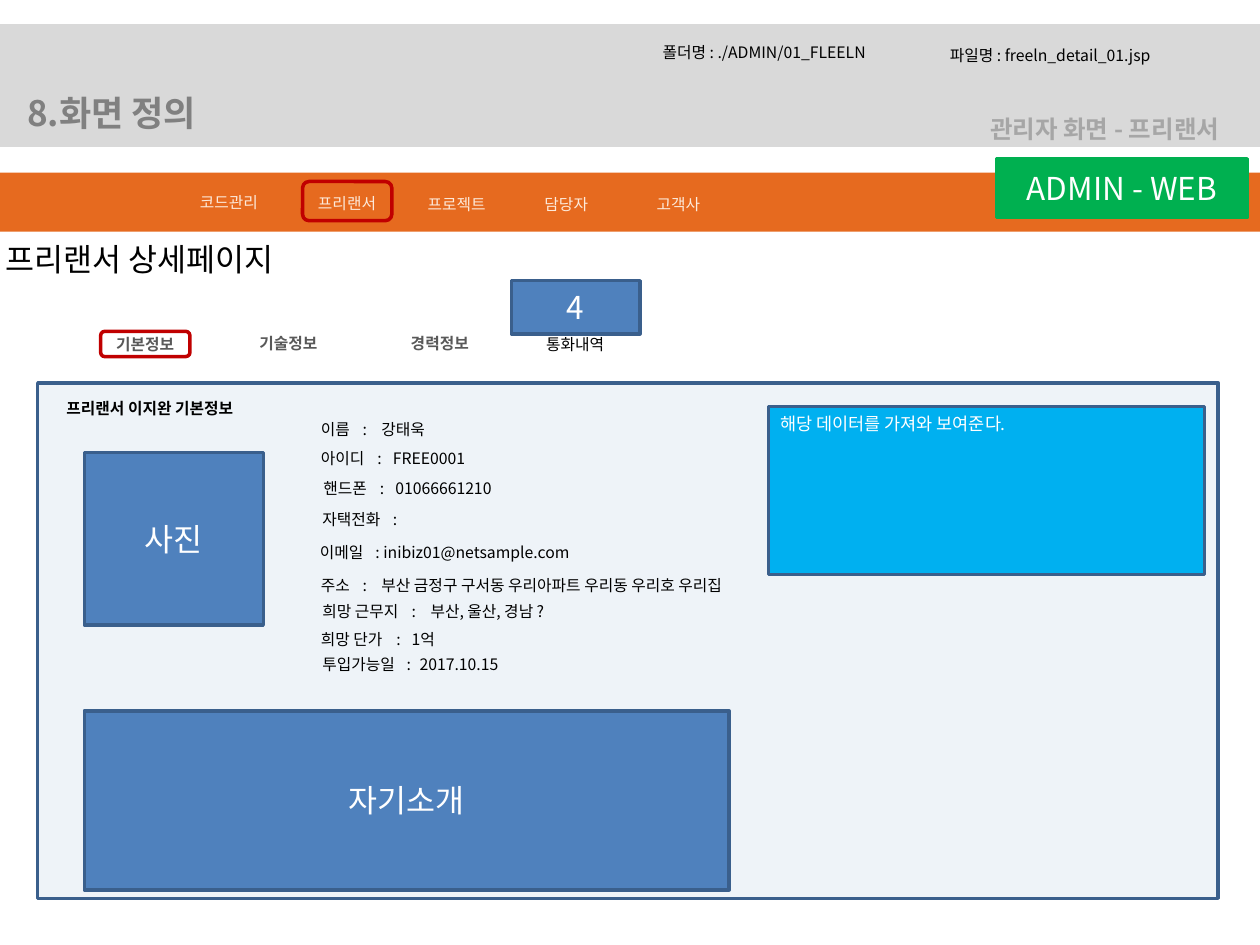
from lxml import etree
from pptx import Presentation
from pptx.dml.color import RGBColor
from pptx.enum.shapes import MSO_SHAPE
from pptx.enum.text import MSO_ANCHOR, PP_ALIGN
from pptx.oxml.ns import qn
from pptx.util import Cm, Pt

RECTANGLE = MSO_SHAPE.RECTANGLE
ROUNDED = MSO_SHAPE.ROUNDED_RECTANGLE
LEFT, CENTER = PP_ALIGN.LEFT, PP_ALIGN.CENTER
TOP, MIDDLE = MSO_ANCHOR.TOP, MSO_ANCHOR.MIDDLE
FONT = "Noto Sans CJK KR"
COLORS = {
    "black": "000000", "white": "FFFFFF", "header": "D9D9D9",
    "title": "808080", "subtitle": "A6A6A6", "tab": "595959",
    "nav": "E66A1F", "nav_text": "FDEADA", "mark": "C00000",
    "panel": "EEF3F8", "border": "3A5F8C", "block": "4F81BD",
    "memo": "00B0F0", "admin": "00B050",
}
LINE_HEIGHT = 0.64

deck = Presentation()
deck.slide_width, deck.slide_height = Cm(25.4), Cm(19.05)
page = deck.slides.add_slide(deck.slide_layouts[6])


def add_text(box, text, size=9, color="black", bold=False, align=LEFT, stops=()):
    box.text_frame.word_wrap = True
    para = box.text_frame.paragraphs[0]
    para.alignment = align
    if stops:
        tabs = etree.SubElement(para._p.get_or_add_pPr(), qn("a:tabLst"))
        for stop in stops:
            etree.SubElement(tabs, qn("a:tab"), pos=str(Cm(stop)), algn="l")
    span = para.add_run()
    span.text = text
    span.font.size = Pt(size)
    span.font.bold = bold
    span.font.color.rgb = RGBColor.from_string(COLORS[color])
    span.font.name = FONT
    etree.SubElement(span.font._element, qn("a:ea"), typeface=FONT)


def add_block(kind, left, top, width, height, fill=None, line=None):
    shape = page.shapes.add_shape(kind, Cm(left), Cm(top), Cm(width), Cm(height))
    shape.shadow.inherit = False
    if fill:
        shape.fill.solid()
        shape.fill.fore_color.rgb = RGBColor.from_string(COLORS[fill])
    else:
        shape.fill.background()
    if line:
        shape.line.color.rgb = RGBColor.from_string(COLORS[line])
        shape.line.width = Pt(2)
    else:
        shape.line.fill.background()
    return shape


add_block(RECTANGLE, 0, 0.53, 25.4, 2.39, "header", "header")
add_block(RECTANGLE, -0.03, 3.48, 25.5, 1.19, "nav")
add_block(RECTANGLE, 0.76, 7.72, 23.8, 10.39, "panel", "border")

captions = [
    ("8.화면 정의", 0.3, 1.73, 9.6, 1.12, 20, "title", True),
    ("관리자 화면 - 프리랜서", 19.71, 2.18, 6.71, 0.86, 14, "subtitle", True),
    ("프리랜서 상세페이지", -0.13, 4.72, 8.41, 1.02, 18, "black", False),
    ("프리랜서 이지완 기본정보", 1.09, 7.92, 5.41, LINE_HEIGHT, 9, "black", True),
    ("폴더명 : ./ADMIN/01_FLEELN", 13.11, 0.74, 5.49, LINE_HEIGHT, 9, "black", False),
    ("파일명 : freeln_detail_01.jsp", 18.9, 0.79, 6.05, LINE_HEIGHT, 9, "black", False),
]
for text, left, top, width, height, size, color, bold in captions:
    box = page.shapes.add_textbox(Cm(left), Cm(top), Cm(width), Cm(height))
    add_text(box, text, size, color, bold)

menu_items = [
    ("코드관리", 3.51, 3.76, 2.21, "nav_text", False),
    ("프리랜서", 5.89, 3.78, 2.21, "nav_text", False),
    ("프로젝트", 8.1, 3.81, 2.21, "nav_text", False),
    ("담당자", 10.31, 3.81, 2.21, "nav_text", False),
    ("고객사", 12.57, 3.81, 2.21, "nav_text", False),
    ("기본정보", 1.96, 6.63, 1.93, "tab", True),
    ("기술정보", 4.85, 6.6, 1.93, "tab", True),
    ("경력정보", 7.9, 6.6, 1.93, "tab", True),
    ("통화내역", 10.34, 6.63, 2.51, "black", False),
]
for text, left, top, width, color, bold in menu_items:
    box = page.shapes.add_textbox(Cm(left), Cm(top), Cm(width), Cm(LINE_HEIGHT))
    add_text(box, text, 9, color, bold, CENTER)

for left, top, height in [(6.1, 3.66, 0.79), (2.03, 6.68, 0.51)]:
    add_block(ROUNDED, left, top, 1.8, height, line="mark")

details = [
    ("이름\t:\t강태욱", 6.22, 8.33, (0.84, 1.22)),
    ("아이디\t:\tFREE0001", 6.22, 8.92, (1.14, 1.45)),
    ("핸드폰\t:\t01066661210", 6.27, 9.53, (1.14, 1.45)),
    ("자택전화\t:", 6.25, 10.16, (1.42,)),
    ("이메일\t: inibiz01@netsample.com", 6.2, 10.82, (1.12,)),
    ("주소\t:\t부산 금정구 구서동 우리아파트 우리동 우리호 우리집", 6.22, 11.48, (0.84, 1.22)),
    ("희망 근무지\t:\t부산, 울산, 경남 ?", 6.25, 12.01, (1.8, 2.18)),
    ("희망 단가\t:\t1억", 6.22, 12.57, (1.52, 1.83)),
    ("투입가능일\t:\t2017.10.15", 6.25, 13.08, (1.7, 1.96)),
]
for text, left, top, stops in details:
    box = page.shapes.add_textbox(Cm(left), Cm(top), Cm(10.46), Cm(LINE_HEIGHT))
    add_text(box, text, stops=stops)

blocks = [
    ("사진", 1.7, 9.12, 3.61, 3.48, "block", "border", 18, CENTER, MIDDLE),
    ("자기소개", 1.7, 14.33, 13, 3.61, "block", "border", 18, CENTER, MIDDLE),
    ("해당 데이터를 가져와 보여준다.", 15.49, 8.2, 8.79, 3.38, "memo", "border", 10, LEFT, TOP),
    ("ADMIN - WEB", 20.09, 3.2, 5.05, 1.19, "admin", "admin", 18, CENTER, MIDDLE),
    ("4", 10.31, 5.66, 2.59, 1.07, "block", "border", 18, CENTER, MIDDLE),
]
for text, left, top, width, height, fill, line, size, align, anchor in blocks:
    block = add_block(RECTANGLE, left, top, width, height, fill, line)
    block.text_frame.vertical_anchor = anchor
    add_text(block, text, size, "white", align=align)

deck.save("out.pptx")
